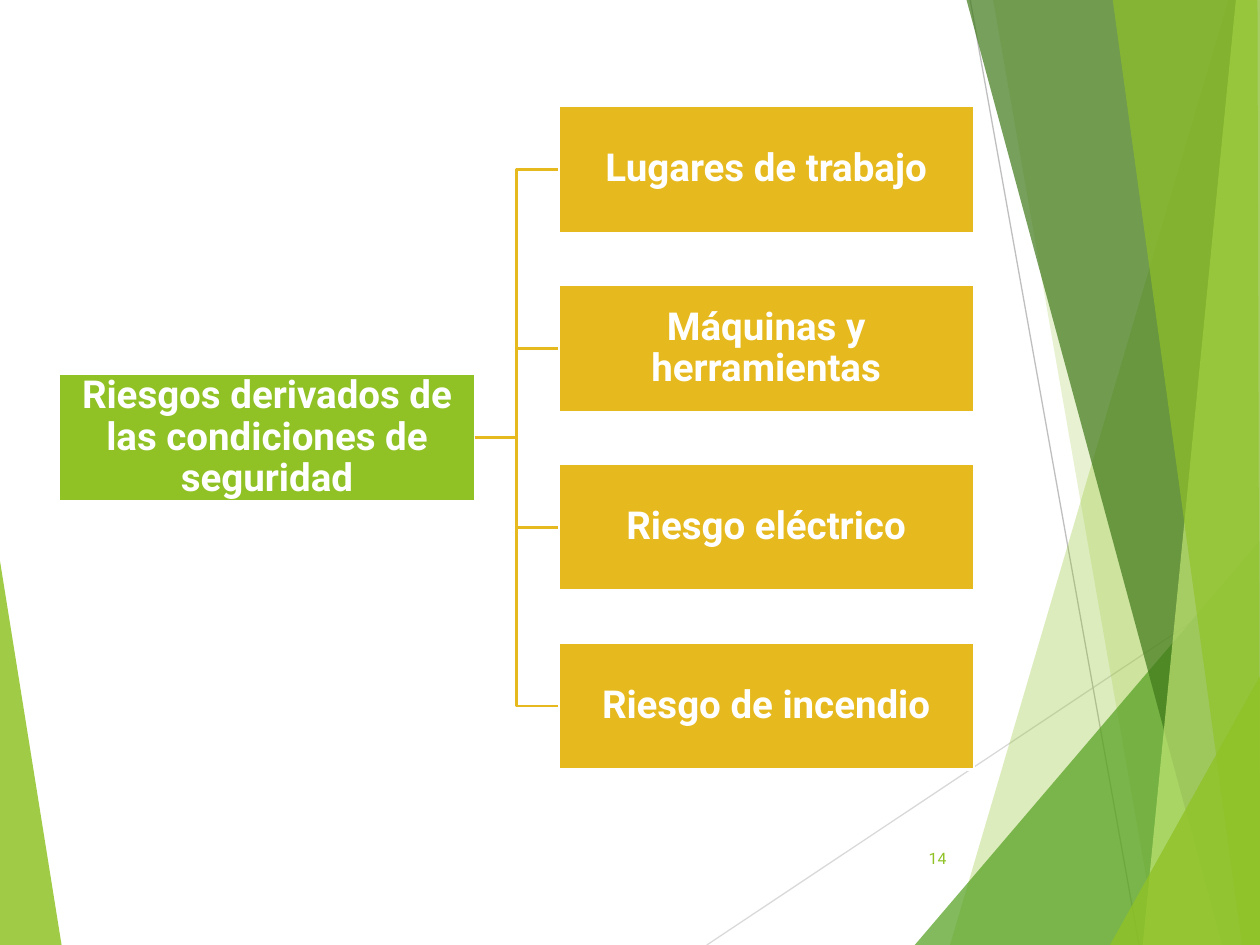
import lxml.etree
import pptx
import pptx.dml.color
import pptx.enum.shapes
import pptx.enum.text
import pptx.oxml.ns
import pptx.util

Pt = pptx.util.Pt
qn = pptx.oxml.ns.qn
ALIGN = pptx.enum.text.PP_ALIGN
CONNECTOR = pptx.enum.shapes.MSO_CONNECTOR

FONT = "Roboto"
LIME, GOLD, WHITE = "90C226", "E6B91E", "FFFFFF"

# Risk tree layout
BOX_WIDTH, BOX_HEIGHT = 237.6, 72.7
ROOT_LEFT, RISK_LEFT = 33.8, 319
FIRST_TOP, PITCH = 60.5, 102.2
ROOT = "Riesgos derivados de las condiciones de seguridad"
RISKS = [
    "Lugares de trabajo",
    "Máquinas y herramientas",
    "Riesgo eléctrico",
    "Riesgo de incendio",
]

# Background facets: fill, opacity in percent, corners
LEFT_FACET = (LIME, 85, [(-0.7, 316), (35.3, 540.5), (-0.7, 540)])
RIGHT_FACETS = [
    (LIME, 30, [(702, 0), (542.9, 540), (721.2, 540.5), (720.7, 0.5)]),
    (LIME, 20, [(567.4, -0.5), (661.7, 540), (720.7, 540), (720.7, -0.5)]),
    ("54A021", 72, [(522.7, 540), (720, 308.9), (720.7, 540)]),
    ("3F7819", 70, [(552.2, -0.5), (698.4, 540), (720.7, 540), (720.7, -0.5)]),
    ("C0E474", 70, [(706.3, -0.5), (653, 540), (720.7, 540), (720, -0.5)]),
    (LIME, 65, [(635.8, -0.5), (709.9, 540), (720, 540), (718.6, -0.5)]),
    (LIME, 80, [(634.3, 540), (720.7, 385.2), (720.7, 540)]),
]


def rgb(color):
    return pptx.dml.color.RGBColor.from_string(color)


def fill_solid(shape, color):
    shape.shadow.inherit = False
    shape.fill.solid()
    shape.fill.fore_color.rgb = rgb(color)


def add_facet(slide, color, opacity, corners):
    points = [(Pt(x), Pt(y)) for x, y in corners]
    builder = slide.shapes.build_freeform(*points[0])
    builder.add_line_segments(points[1:], close=True)
    facet = builder.convert_to_shape()
    fill_solid(facet, color)
    facet.line.fill.background()
    color_element = facet._element.spPr.find(qn("a:solidFill"))[0]
    alpha = lxml.etree.SubElement(color_element, qn("a:alpha"))
    alpha.set("val", str(opacity * 1000))


def add_line(slide, kind, start, end, color, width):
    line = slide.shapes.add_connector(kind, *map(Pt, start + end))
    line.line.color.rgb = rgb(color)
    line.line.width = Pt(width)
    lxml.etree.SubElement(line._element.spPr, qn("a:effectLst"))
    return line


def set_text(shape, text, size, color, align, inset):
    frame = shape.text_frame
    frame.word_wrap = True
    frame.vertical_anchor = pptx.enum.text.MSO_ANCHOR.MIDDLE
    if inset is not None:
        frame.margin_left = frame.margin_right = Pt(inset)
        frame.margin_top = frame.margin_bottom = Pt(inset)
    paragraph = frame.paragraphs[0]
    paragraph.text = text
    paragraph.alignment = align
    paragraph.font.name = FONT
    paragraph.font.size = Pt(size)
    paragraph.font.color.rgb = rgb(color)
    return paragraph


def add_box(slide, text, left, top, color):
    box = slide.shapes.add_shape(
        pptx.enum.shapes.MSO_SHAPE.RECTANGLE,
        Pt(left), Pt(top), Pt(BOX_WIDTH), Pt(BOX_HEIGHT))
    fill_solid(box, color)
    box.line.color.rgb = rgb(WHITE)
    box.line.width = Pt(1.5)
    paragraph = set_text(box, text, 22, WHITE, ALIGN.CENTER, 1.4)
    paragraph.font.bold = True
    paragraph.line_spacing = 0.9
    return box


def add_background(slide):
    add_facet(slide, *LEFT_FACET)
    add_line(slide, CONNECTOR.STRAIGHT, (403.9, 540), (720.7, 329), "D9D9D9", 0.75)
    add_line(slide, CONNECTOR.STRAIGHT, (554.4, 0), (650.9, 540), "BFBFBF", 0.75)
    for facet in RIGHT_FACETS:
        add_facet(slide, *facet)


def add_slide_number(slide, number):
    box = slide.shapes.add_textbox(Pt(507.6), Pt(475.9), Pt(40.3), Pt(28.8))
    set_text(box, number, 9, LIME, ALIGN.RIGHT, None)


def add_risk_tree(slide):
    root_top = FIRST_TOP + PITCH * (len(RISKS) - 1) / 2
    root_box = add_box(slide, ROOT, ROOT_LEFT, root_top, LIME)
    root_end = (ROOT_LEFT + BOX_WIDTH, root_top + BOX_HEIGHT / 2)
    for row, risk in enumerate(RISKS):
        top = FIRST_TOP + row * PITCH
        risk_box = add_box(slide, risk, RISK_LEFT, top, GOLD)
        branch = add_line(slide, CONNECTOR.ELBOW, root_end,
                          (RISK_LEFT, top + BOX_HEIGHT / 2), GOLD, 1.5)
        branch.begin_connect(root_box, 3)
        branch.end_connect(risk_box, 1)


def main():
    deck = pptx.Presentation()
    deck.slide_width, deck.slide_height = Pt(720), Pt(540)
    slide = deck.slides.add_slide(deck.slide_layouts[6])
    add_background(slide)
    add_slide_number(slide, "14")
    add_risk_tree(slide)
    deck.save("out.pptx")


if __name__ == "__main__":
    main()
